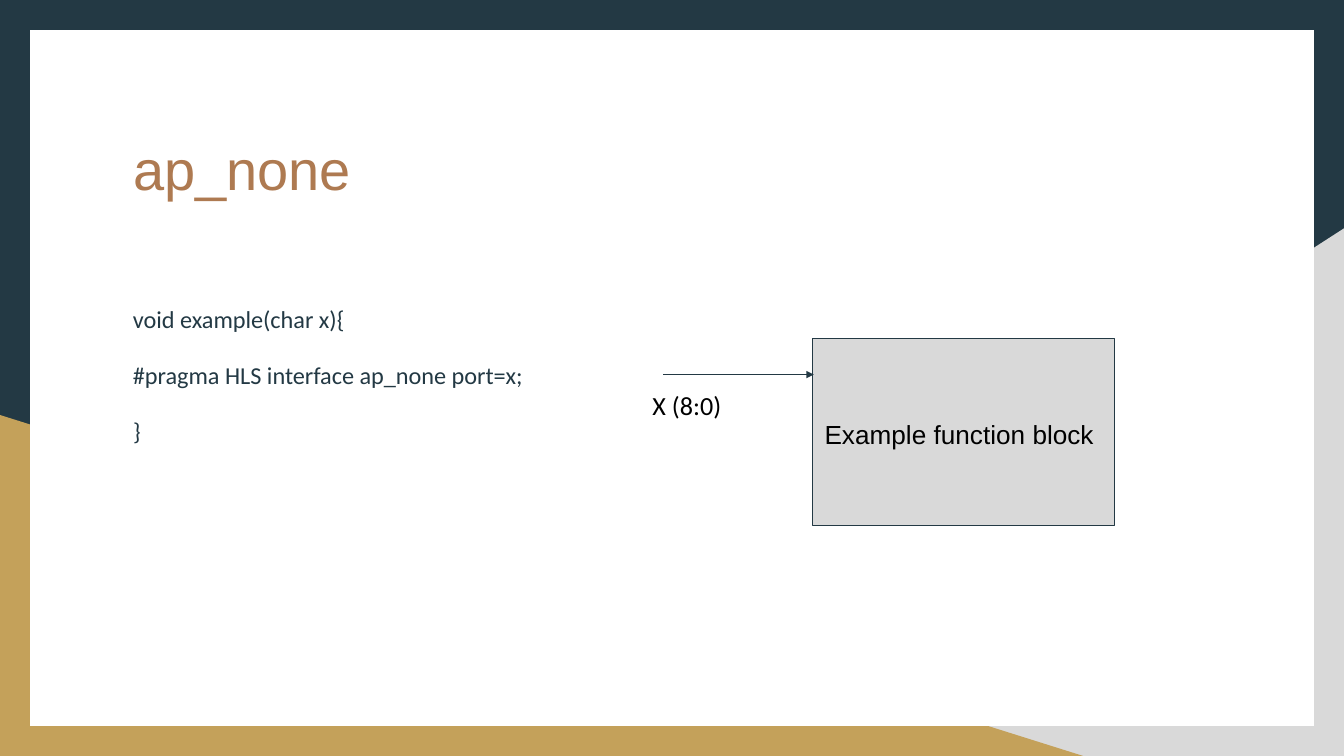
from lxml import etree
from pptx import Presentation
from pptx import util as u
from pptx.dml.color import RGBColor
from pptx.enum import shapes, text
from pptx.oxml import ns

WIDTH = u.Inches(10)
HEIGHT = WIDTH * 9 // 16
COLORS = {
    "navy": "233944",
    "gray": "D9D9D9",
    "gold": "C4A15A",
    "white": "FFFFFF",
    "copper": "AE7A51",
    "black": "000000",
}
CODE = ["void example(char x){", "#pragma HLS interface ap_none port=x;", "}"]
CODE_WIDTHS = [16, 29.3, 0.8]


def col(share):
    return round(WIDTH * share / 100)


def row(share):
    return round(HEIGHT * share / 100)


def rgb(name):
    return RGBColor.from_string(COLORS[name])


def add_polygon(slide, points, color):
    corners = [(col(x), row(y)) for x, y in points]
    fb = slide.shapes.build_freeform(*corners[0])
    fb.add_line_segments(corners[1:], close=True)
    sp = fb.convert_to_shape()
    sp.shadow.inherit = False
    sp.fill.solid()
    sp.fill.fore_color.rgb = rgb(color)
    sp.line.fill.background()


def write(sp, content, size, font, color, left=0.1, top=0.2):
    tf = sp.text_frame
    tf.word_wrap = False
    tf.vertical_anchor = text.MSO_ANCHOR.TOP
    tf.margin_left, tf.margin_top = col(left), row(top)
    tf.margin_right = tf.margin_bottom = 0
    p = tf.paragraphs[0]
    p.alignment = text.PP_ALIGN.LEFT
    r = p.add_run()
    r.text = content
    r.font.size = u.Pt(size)
    r.font.name = font
    r.font.color.rgb = rgb(color)


def add_label(slide, x, y, w, h, content, size, font, color, top=0.2):
    sp = slide.shapes.add_textbox(col(x), row(y), col(w), row(h))
    write(sp, content, size, font, color, top=top)


def add_block(slide, x, y, w, h, content):
    sp = slide.shapes.add_shape(
        shapes.MSO_SHAPE.RECTANGLE, col(x), row(y), col(w), row(h))
    sp.shadow.inherit = False
    sp.fill.solid()
    sp.fill.fore_color.rgb = rgb("gray")
    sp.line.color.rgb = rgb("navy")
    sp.line.width = u.Pt(0.75)
    write(sp, content, 14, "Arial", "black", left=0.9, top=10.6)


def add_arrow(slide, x1, x2, y):
    cx = slide.shapes.add_connector(
        shapes.MSO_CONNECTOR.STRAIGHT, col(x1), row(y), col(x2), row(y))
    cx.line.color.rgb = rgb("navy")
    cx.line.width = u.Pt(0.75)
    ln = cx.line._get_or_add_ln()
    etree.SubElement(ln, ns.qn("a:tailEnd"), type="triangle", w="sm", len="sm")
    etree.SubElement(cx._element.spPr, ns.qn("a:effectLst"))


def add_frame(slide):
    add_polygon(slide, [(0, 0), (100, 0), (100, 100), (0, 100)], "navy")
    add_polygon(slide, [(100, 100), (39.2, 100), (100, 30.2)], "gray")
    add_polygon(slide, [(80.6, 100), (0, 100), (0, 54.9)], "gold")
    add_polygon(slide, [(2.2, 4), (97.8, 4), (97.8, 96), (2.2, 96)], "white")


def main():
    prs = Presentation()
    prs.slide_width, prs.slide_height = WIDTH, HEIGHT
    slide = prs.slides.add_slide(prs.slide_layouts[6])
    add_frame(slide)
    add_label(slide, 9.8, 8.75, 74.8, 18.1, "ap_none", 30, "Arial", "copper", top=9.1)
    for i, (line, width) in enumerate(zip(CODE, CODE_WIDTHS)):
        add_label(slide, 9.8, 40.08 + i * 7.38, width, 4.27, line, 13, "Calibri", "navy")
    add_block(slide, 60.45, 44.75, 22.5, 24.75, "Example function block")
    add_arrow(slide, 49.35, 60.55, 49.55)
    add_label(slide, 48.45, 51.25, 5.4, 4.6, "X (8:0)", 14, "Calibri", "black")
    prs.save("out.pptx")


if __name__ == "__main__":
    main()
